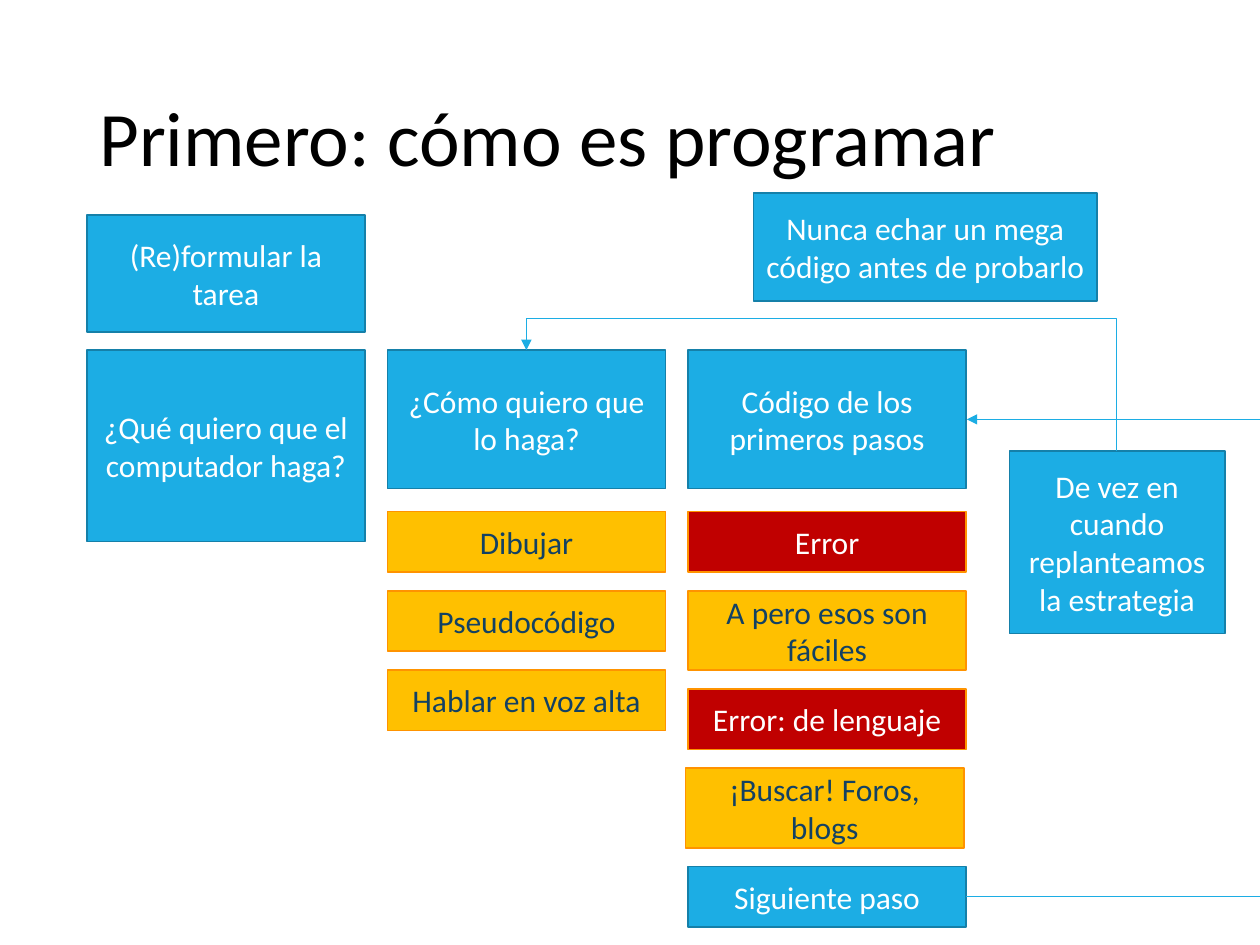
from lxml.etree import SubElement
from pptx import Presentation
from pptx.dml.color import RGBColor
from pptx.enum.shapes import MSO_CONNECTOR, MSO_SHAPE
from pptx.enum.text import MSO_ANCHOR, PP_ALIGN
from pptx.oxml.ns import qn
from pptx.util import Cm, Pt

COLORS = {
    "blue": "1CADE4", "blue_edge": "1580A9", "amber": "FFC000",
    "orange": "FF9300", "red": "C00000", "navy": "134163",
    "white": "FFFFFF", "black": "000000",
}
STYLES = {
    "step": ("blue", "blue_edge", "white"),
    "hint": ("amber", "orange", "navy"),
    "error": ("red", "orange", "white"),
}
FONT = "Calibri"
LEFT, COL_STEP, COL_W = 1.75, 6.06, 5.61
STEP_TOP, STEP_H = 7.06, 2.79
STACK_TOP, GAP = 10.31, 0.38
LOW, TALL = 1.22, 1.6


def rgb(name):
    return RGBColor.from_string(COLORS[name])


def add_run(p, text, size, color):
    r = p.add_run()
    r.text = text
    r.font.name = FONT
    r.font.size = Pt(size)
    r.font.color.rgb = rgb(color)


def add_title(slide, text):
    sp = slide.shapes.title
    sp.left, sp.top, sp.width, sp.height = Cm(LEFT), Cm(1.01), Cm(21.9), Cm(3.68)
    tf = sp.text_frame
    tf.vertical_anchor = MSO_ANCHOR.MIDDLE
    p = tf.paragraphs[0]
    p.alignment = PP_ALIGN.LEFT
    p.line_spacing = 0.9
    add_run(p, text, 44, "black")


def add_box(slide, text, x, y, w, h, style="step"):
    fill, edge, color = STYLES[style]
    sp = slide.shapes.add_shape(MSO_SHAPE.RECTANGLE, Cm(x), Cm(y), Cm(w), Cm(h))
    sp.shadow.inherit = False
    sp.fill.solid()
    sp.fill.fore_color.rgb = rgb(fill)
    sp.line.color.rgb = rgb(edge)
    sp.line.width = Pt(1)
    tf = sp.text_frame
    tf.word_wrap = True
    tf.vertical_anchor = MSO_ANCHOR.MIDDLE
    p = tf.paragraphs[0]
    p.alignment = PP_ALIGN.CENTER
    add_run(p, text, 18, color)


def add_stack(slide, x, items):
    y = STACK_TOP
    for text, h, style, shift in items:
        add_box(slide, text, x + shift, y, COL_W, h, style)
        y += h + GAP


def add_elbow(slide, x1, y1, x2, y2, bend, turn=0):
    cx = slide.shapes.add_connector(
        MSO_CONNECTOR.ELBOW, Cm(x1), Cm(y1), Cm(x2), Cm(y2))
    cx.line.color.rgb = rgb("blue")
    cx.line.width = Pt(0.5)
    sp_pr = cx._element.spPr
    sp_pr.find(qn("a:xfrm")).set("rot", str(turn * 60000))
    guides = sp_pr.find(qn("a:prstGeom")).get_or_add_avLst()
    SubElement(guides, qn("a:gd"), name="adj1", fmla=f"val {round(bend * 100000)}")
    SubElement(cx.line._get_or_add_ln(), qn("a:tailEnd"), type="triangle")
    SubElement(sp_pr, qn("a:effectLst"))


def main():
    prs = Presentation()
    prs.slide_width, prs.slide_height = Cm(25.4), Cm(19.05)
    slide = prs.slides.add_slide(prs.slide_layouts[5])
    what, how, code = [LEFT + i * COL_STEP for i in range(3)]

    add_title(slide, "Primero: cómo es programar")
    add_box(slide, "(Re)formular la tarea", what, 4.34, COL_W, 2.36)
    add_box(slide, "¿Qué quiero que el computador haga?", what, STEP_TOP, COL_W, 3.86)
    add_box(slide, "¿Cómo quiero que lo haga?", how, STEP_TOP, COL_W, STEP_H)
    add_box(slide, "Código de los primeros pasos", code, STEP_TOP, COL_W, STEP_H)
    add_box(slide, "Nunca echar un mega código antes de probarlo", 15.19, 3.89, 6.93, 2.18)
    add_box(slide, "De vez en cuando replanteamos la estrategia", 20.35, 9.09, 4.34, 3.68)

    add_stack(slide, how, [
        ("Dibujar", LOW, "hint", 0),
        ("Pseudocódigo", LOW, "hint", 0),
        ("Hablar en voz alta", LOW, "hint", 0),
    ])
    add_stack(slide, code, [
        ("Error", LOW, "error", 0),
        ("A pero esos son fáciles", TALL, "hint", 0),
        ("Error: de lenguaje", LOW, "error", 0),
        ("¡Buscar! Foros, blogs", TALL, "hint", -0.05),
        ("Siguiente paso", LOW, "step", 0),
    ])

    edge = code + COL_W
    add_elbow(slide, edge, 18.07, edge + 0.01, STEP_TOP + STEP_H / 2, 595)
    add_elbow(slide, 15.54, 14.02, 17.57, 2.13, 1.31, 270)
    prs.save("out.pptx")


if __name__ == "__main__":
    main()
